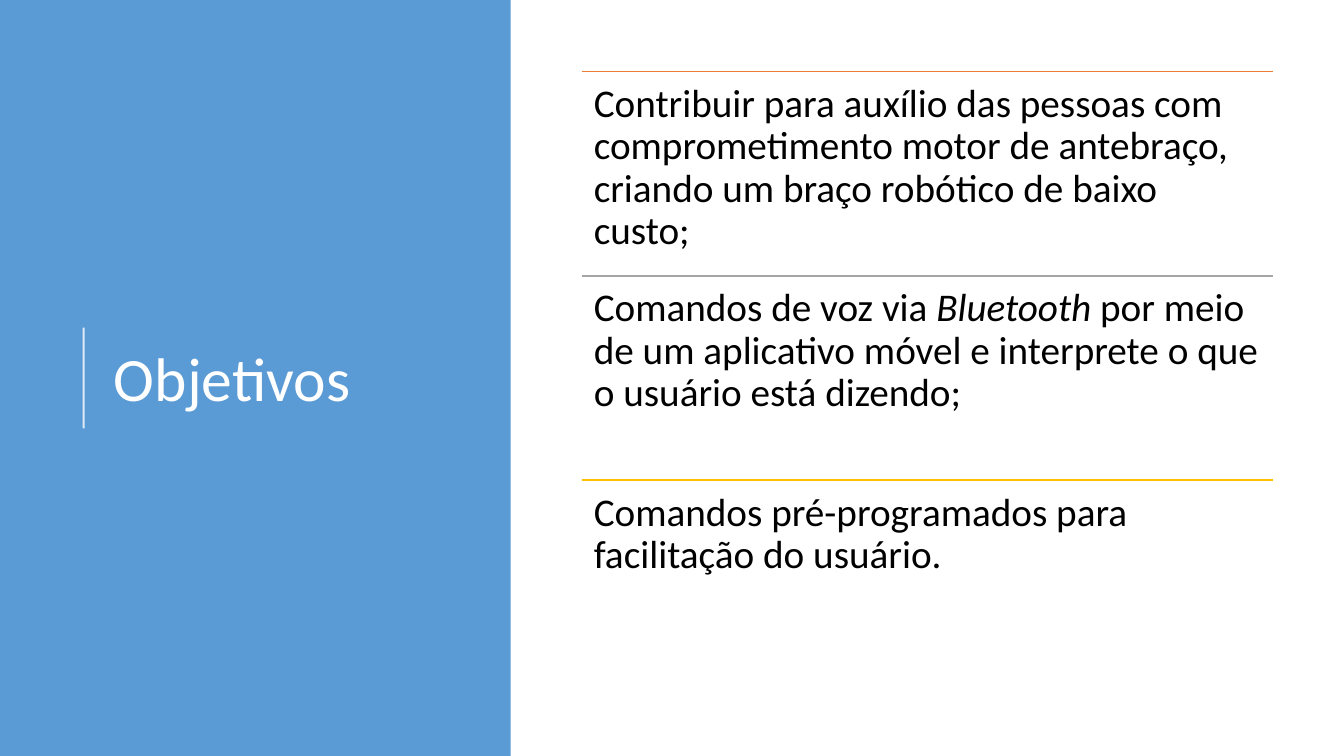
"""Build the objectives slide: a blue title panel beside three ruled statements."""
from lxml.etree import SubElement
from pptx import Presentation
from pptx.dml.color import RGBColor
from pptx.enum.shapes import MSO_CONNECTOR, MSO_SHAPE
from pptx.enum.text import MSO_ANCHOR, PP_ALIGN
from pptx.oxml.ns import qn
from pptx.util import Inches, Pt

WHITE = RGBColor(0xFF, 0xFF, 0xFF)
BLACK = RGBColor(0x00, 0x00, 0x00)
BLUE = RGBColor(0x5B, 0x9B, 0xD5)
ORANGE = RGBColor(0xED, 0x7D, 0x31)
GRAY = RGBColor(0xA5, 0xA5, 0xA5)
GOLD = RGBColor(0xFF, 0xC0, 0x00)

HEADING = "Objetivos"
OBJECTIVES = [
    (ORANGE, [("Contribuir para auxílio das pessoas com comprometimento motor de "
               "antebraço, criando um braço robótico de baixo custo;", False)]),
    (GRAY, [("Comandos de voz via ", False), ("Bluetooth", True),
            (" por meio de um aplicativo móvel e interprete o que o usuário "
             "está dizendo;", False)]),
    (GOLD, [("Comandos pré-programados para facilitação do usuário.", False)]),
]

WIDTH, HEIGHT = 13.33, 7.5
PANEL_WIDTH = 0.38 * WIDTH
HEADING_BOX = (1.03, 0.78, 3.69, 6.02)
ACCENT_X, ACCENT_TOP, ACCENT_BOTTOM = 0.83, 3.25, 4.25
LIST_LEFT, LIST_TOP, LIST_WIDTH, LIST_HEIGHT = 5.77, 0.71, 6.86, 6.08
ROW_HEIGHT = LIST_HEIGHT / len(OBJECTIVES)


def write_text(frame, runs, *, size, color, anchor, inset=None, after=0):
    """Fill a text frame with one paragraph of (text, italic) runs."""
    frame.word_wrap = True
    frame.vertical_anchor = anchor
    if inset is not None:
        frame.margin_left = frame.margin_right = Inches(inset)
        frame.margin_top = frame.margin_bottom = Inches(inset)
    paragraph = frame.paragraphs[0]
    paragraph.alignment = PP_ALIGN.LEFT
    paragraph.line_spacing = 0.9
    paragraph.space_after = Pt(after)
    for text, italic in runs:
        run = paragraph.add_run()
        run.text = text
        run.font.name = "Calibri"
        run.font.size = Pt(size)
        run.font.italic = italic
        run.font.color.rgb = color


def draw_rule(slide, start, end, *, color, width, opacity=100):
    """Draw a straight line between two points given in inches."""
    rule = slide.shapes.add_connector(
        MSO_CONNECTOR.STRAIGHT, *map(Inches, (*start, *end)))
    rule.line.color.rgb = color
    rule.line.width = Pt(width)
    properties = rule._element.spPr
    if opacity < 100:
        tint = properties.find(".//" + qn("a:srgbClr"))
        SubElement(tint, qn("a:alpha"), val=str(opacity * 1000))
    SubElement(properties, qn("a:effectLst"))


def build():
    """Lay out the slide and save it."""
    deck = Presentation()
    deck.slide_width, deck.slide_height = Inches(WIDTH), Inches(HEIGHT)
    slide = deck.slides.add_slide(deck.slide_layouts[5])

    panel = slide.shapes.add_shape(
        MSO_SHAPE.RECTANGLE, 0, 0, Inches(PANEL_WIDTH), Inches(HEIGHT))
    panel.shadow.inherit = False
    panel.fill.solid()
    panel.fill.fore_color.rgb = BLUE
    panel.line.fill.background()

    heading = slide.shapes.title
    heading._element.addprevious(panel._element)
    heading.left, heading.top, heading.width, heading.height = map(Inches, HEADING_BOX)
    write_text(heading.text_frame, [(HEADING, False)], size=44, color=WHITE,
               anchor=MSO_ANCHOR.MIDDLE)
    draw_rule(slide, (ACCENT_X, ACCENT_BOTTOM), (ACCENT_X, ACCENT_TOP),
              color=WHITE, width=1.5, opacity=80)

    for row, (accent, statement) in enumerate(OBJECTIVES):
        top = LIST_TOP + row * ROW_HEIGHT
        draw_rule(slide, (LIST_LEFT, top), (LIST_LEFT + LIST_WIDTH, top),
                  color=accent, width=1)
        objective = slide.shapes.add_textbox(
            *map(Inches, (LIST_LEFT, top, LIST_WIDTH, ROW_HEIGHT)))
        write_text(objective.text_frame, statement, size=28, color=BLACK,
                   anchor=MSO_ANCHOR.TOP, inset=0.12, after=9.8)

    deck.save("out.pptx")


if __name__ == "__main__":
    build()
